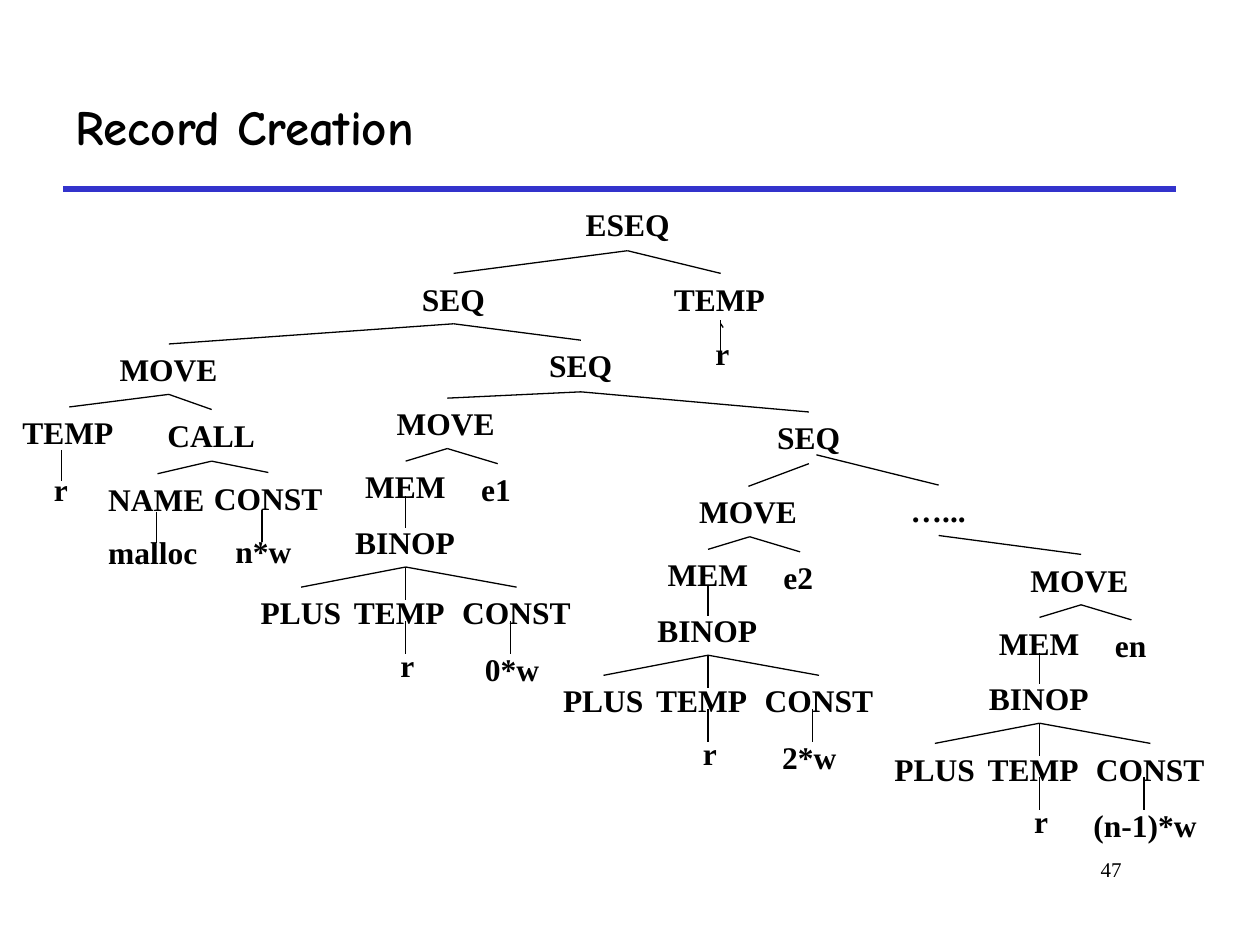
from pptx import Presentation
from pptx.dml.color import RGBColor
from pptx.enum.shapes import MSO_CONNECTOR
from pptx.enum.text import MSO_ANCHOR, MSO_AUTO_SIZE, PP_ALIGN
from pptx.oxml.ns import qn
from pptx.util import Emu, Pt

PX = 9144
BLACK = RGBColor(0x00, 0x00, 0x00)
BLUE = RGBColor(0x33, 0x33, 0xCC)
STRAIGHT = MSO_CONNECTOR.STRAIGHT
MIDDLE = MSO_ANCHOR.MIDDLE
GROW = MSO_AUTO_SIZE.SHAPE_TO_FIT_TEXT
LEFT, RIGHT = PP_ALIGN.LEFT, PP_ALIGN.RIGHT
TITLE_FONT = "Comic Neue"
BODY_FONT = "Times New Roman"
NODE_HEIGHT = 40
NODE_WIDTHS = {
    "ESEQ": 88, "SEQ": 71, "TEMP": 93, "MOVE": 99, "CONST": 107, "CALL": 90,
    "NAME": 97, "MEM": 85, "BINOP": 100, "PLUS": 85, "malloc": 92, "r": 31,
    "…...": 64, "n*w": 65, "0*w": 64, "2*w": 64, "(n-1)*w": 103,
    "e1": 44, "e2": 44, "en": 45,
}


def px(length):
    return Emu(length * PX)


def add_label(slide, box, text, size, font=BODY_FONT, bold=False, align=LEFT):
    label = slide.shapes.add_textbox(*map(px, box))
    frame = label.text_frame
    frame.word_wrap = True
    paragraph = frame.paragraphs[0]
    paragraph.text = text
    paragraph.alignment = align
    paragraph.font.name = font
    paragraph.font.size = Pt(size)
    paragraph.font.bold = bold
    paragraph.font.color.rgb = BLACK
    return frame


def add_line(slide, start, end, color=BLACK, width=0.75):
    line = slide.shapes.add_connector(STRAIGHT, *map(px, (*start, *end)))
    line.line.color.rgb = color
    line.line.width = Pt(width)
    properties = line._element.spPr
    properties.append(properties.makeelement(qn("a:effectLst"), {}))


def add_tree(slide, origin, nodes, branches):
    left, top = origin
    for text, x, y in nodes:
        box = (left + x, top + y, NODE_WIDTHS[text], NODE_HEIGHT)
        frame = add_label(slide, box, text, 18, bold=True)
        frame.word_wrap = False
        frame.auto_size = GROW
    for (parent_x, parent_y), children in branches:
        for x, y in children:
            add_line(slide, (left + parent_x, top + parent_y), (left + x, top + y))


def add_header(slide, box):
    left, top, width, height = box
    frame = add_label(slide, box, "Record Creation", 28, TITLE_FONT, bold=True)
    frame.vertical_anchor = MIDDLE
    bottom = top + height
    add_line(slide, (left, bottom), (left + width, bottom), BLUE, 3)


def add_sequence_spine(slide, origin):
    nodes = [
        ("ESEQ", 130, 0), ("SEQ", 0, 59), ("TEMP", 200, 59), ("r", 233, 102),
        ("SEQ", 101, 112), ("SEQ", 282, 169), ("…...", 388, 227),
    ]
    branches = [
        ((173, 41), [(35, 59), (247, 59)]),
        ((247, 96), [(247, 123)]),
        ((247, 99), [(249, 102)]),
        ((35, 99), [(-191, 115), (136, 112)]),
        ((136, 153), [(30, 158), (317, 169)]),
        ((317, 210), [(269, 228)]),
        ((323, 203), [(420, 227)]),
        ((420, 267), [(533, 282)]),
    ]
    add_tree(slide, origin, nodes, branches)


def add_allocation(slide, origin):
    nodes = [
        ("MOVE", 77, 0), ("TEMP", 0, 50), ("r", 25, 95), ("CALL", 115, 52),
        ("NAME", 68, 103), ("malloc", 68, 145),
        ("CONST", 152, 102), ("n*w", 169, 144),
    ]
    branches = [
        ((126, 40), [(47, 50), (160, 52)]),
        ((41, 84), [(41, 109)]),
        ((160, 93), [(117, 103), (205, 102)]),
        ((116, 133), [(116, 158)]),
        ((200, 132), [(200, 157)]),
    ]
    add_tree(slide, origin, nodes, branches)


def add_field_store(slide, origin, value, offset, offset_x):
    nodes = [
        ("MOVE", 0, 0), ("MEM", -25, 50), (value, 67, 52), ("BINOP", -33, 94),
        ("PLUS", -108, 150), ("TEMP", -34, 150), ("CONST", 52, 150),
        ("r", 3, 192), (offset, offset_x, 195),
    ]
    branches = [
        ((50, 40), [(17, 50), (90, 52)]),
        ((17, 78), [(17, 103)]),
        ((17, 134), [(-66, 150), (17, 160), (105, 150)]),
        ((17, 177), [(17, 203)]),
        ((100, 177), [(100, 203)]),
    ]
    add_tree(slide, origin, nodes, branches)


def main():
    deck = Presentation()
    deck.slide_width, deck.slide_height = px(1000), px(750)
    slide = deck.slides.add_slide(deck.slide_layouts[6])
    add_header(slide, (50, 50, 883, 100))
    add_sequence_spine(slide, (325, 158))
    add_allocation(slide, (8, 273))
    for origin, value, offset, offset_x in [
        ((305, 316), "e1", "0*w", 70),
        ((545, 386), "e2", "2*w", 66),
        ((808, 440), "en", "(n-1)*w", 50),
    ]:
        add_field_store(slide, origin, value, offset, offset_x)
    add_label(slide, (758, 675, 142, 50), "47", 12, align=RIGHT)
    deck.save("out.pptx")


if __name__ == "__main__":
    main()
